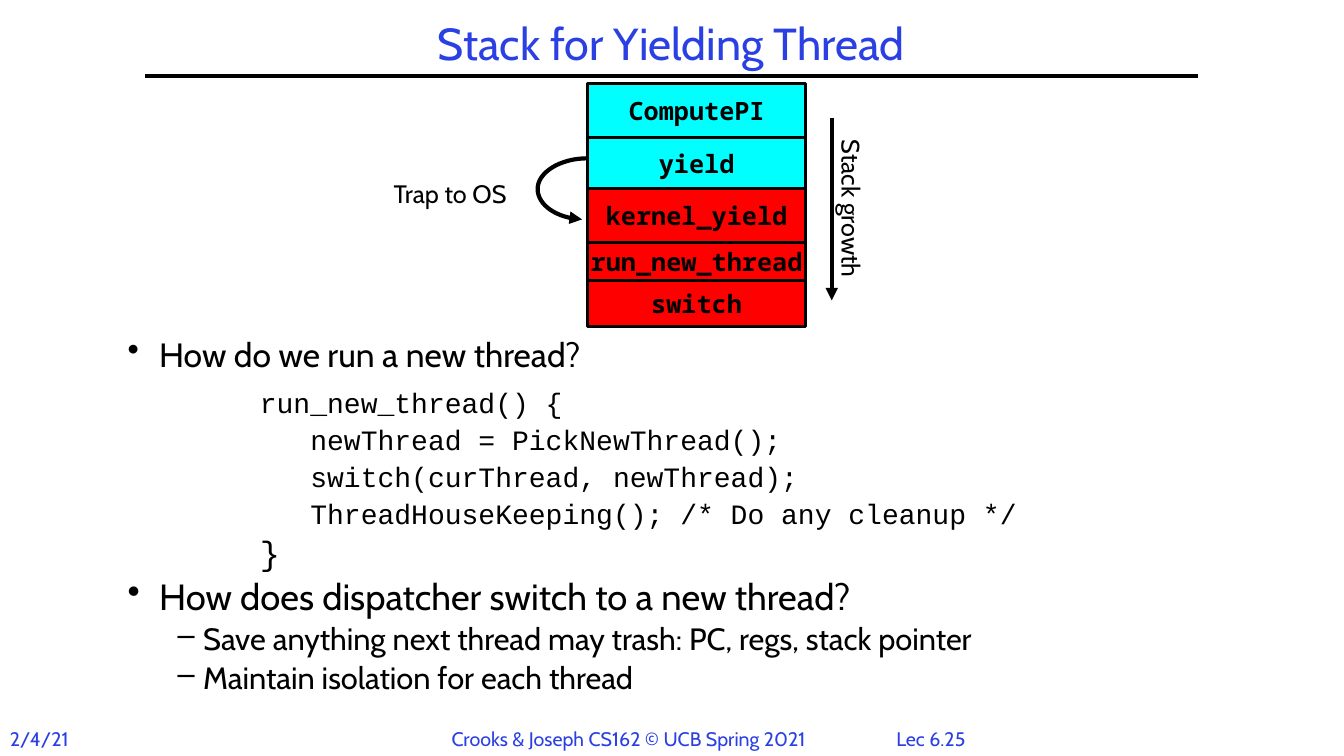
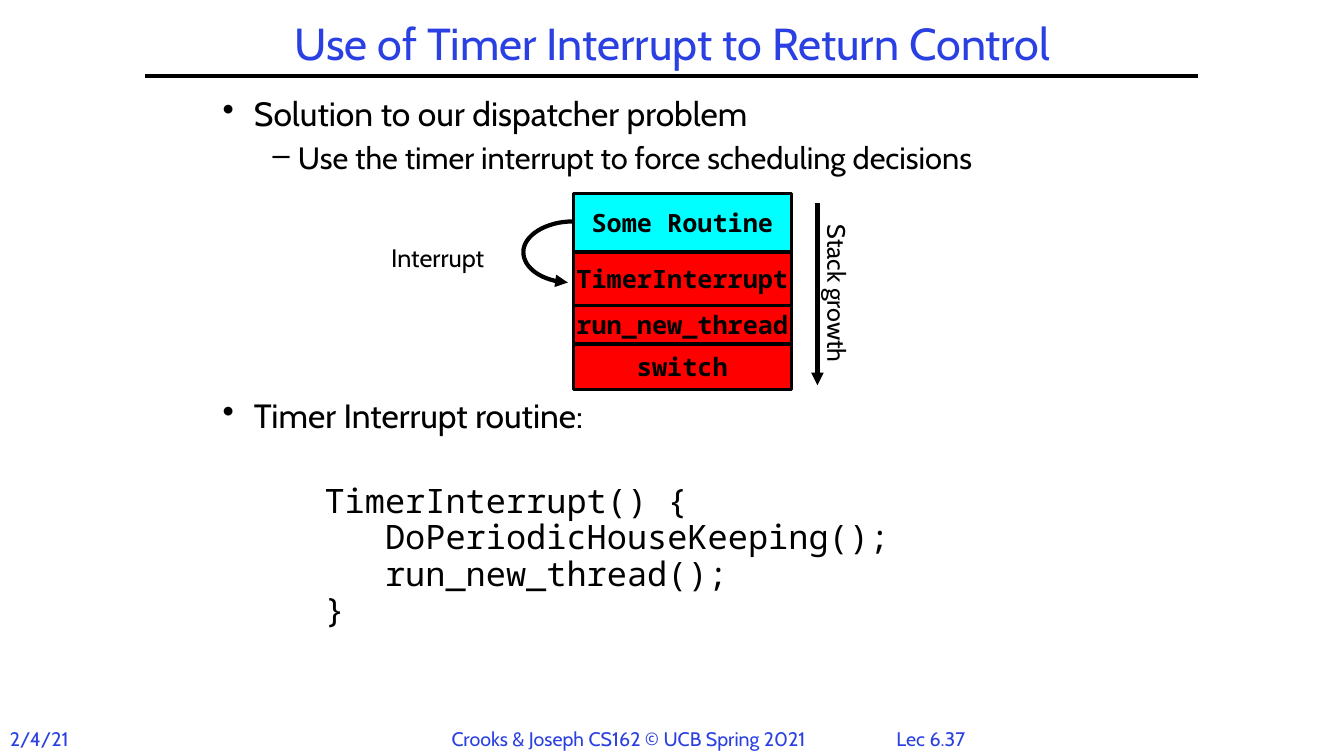
from lxml import etree
from pptx import Presentation
from pptx import util as u
from pptx.dml.color import RGBColor
from pptx.enum import shapes, text
from pptx.oxml import ns

BLUE = RGBColor(0x2A, 0x40, 0xE2)
BLACK = RGBColor(0, 0, 0)
CYAN = RGBColor(0, 0xFF, 0xFF)
RED = RGBColor(0xFF, 0, 0)
SANS, COURIER, MONO = "Cabin", "Courier New", "Noto Sans Mono"
CENTER = text.PP_ALIGN.CENTER
LEFT = text.PP_ALIGN.LEFT

# Body styles: font, left margin and first-line indent in cm, bullet
STYLES = {
    "bullet": (SANS, 0.79, -0.79, "•"),
    "dash": (SANS, 1.9, -0.64, "–"),
    "courier": (COURIER, 3.33, 0, None),
    "mono": (MONO, 2.57, 0, None),
}

# Stack frames: name, height in cm, colour
SHARED_FRAMES = [("run_new_thread", 0.97, RED), ("switch", 1.14, RED)]
FRAME_WIDTH = 5.49

# Trap curve in cm, relative to the left end of the first kernel frame's top
TRAP_CURVES = [
    [(0, -0.77), (-0.7, -0.77), (-1.26, -0.41), (-1.26, 0)],
    [(-1.26, 0), (-1.26, 0.41), (-0.78, 0.74), (-0.14, 0.77)],
]
CURVE_STEPS = 16

# Body boxes: left, top, width, height, line spacing, then rows of
# style, text, size, space before
PAGES = [
    {
        "title": "Stack for Yielding Thread", "title_span": (3.66, 26.52),
        "number": "Lec 6.25",
        "stack": (14.81, 2.11),
        "frames": [("ComputePI", 1.35, CYAN), ("yield", 1.3, CYAN),
                   ("kernel_yield", 1.35, RED)] + SHARED_FRAMES,
        "trap": ("Trap to OS", 9.53, 3.63), "growth_top": 2.97,
        "body": [
            (2.97, 8.48, 24.1, 9.73, 0.8, [
                ("bullet", "How do we run a new thread?", 24, 0),
                ("courier", "run_new_thread() {", 20, 13),
                ("courier", "   newThread = PickNewThread();", 20, 7.2),
                ("courier", "   switch(curThread, newThread);", 20, 7.2),
                ("courier", "   ThreadHouseKeeping(); /* Do any cleanup */", 20, 7.2),
                ("courier", "}", 24, 7.2),
                ("bullet", "How does dispatcher switch to a new thread?", 26, 7.8),
                ("dash", "Save anything next thread may trash: PC, regs, stack pointer", 22, 6.6),
                ("dash", "Maintain isolation for each thread", 22, 6.6),
            ]),
        ],
    },
    {
        "title": "Use of Timer Interrupt to Return Control", "title_span": (6.15, 21.59),
        "number": "Lec 6.37",
        "stack": (14.45, 4.88),
        "frames": [("Some Routine", 1.47, CYAN),
                   ("TimerInterrupt", 1.35, RED)] + SHARED_FRAMES,
        "trap": ("Interrupt", 9.58, 2.9), "growth_top": 5.11,
        "body": [
            (5.36, 2.34, 22.86, 2.3, 0.9, [
                ("bullet", "Solution to our dispatcher problem", 24, 0),
                ("dash", "Use the timer interrupt to force scheduling decisions", 22, 6.6),
            ]),
            (5.36, 9.93, 22.86, 1.3, 0.9, [
                ("bullet", "Timer Interrupt routine:", 24, 0),
            ]),
            (5.36, 12.07, 22.86, 4, u.Pt(26), [
                ("mono", "TimerInterrupt() {", 24, 0),
                ("mono", "   DoPeriodicHouseKeeping();", 24, 0),
                ("mono", "   run_new_thread();", 24, 0),
                ("mono", "}", 24, 0),
            ]),
        ],
    },
]


def add_label(page, words, left, top, width, size, color, align):
    box = page.shapes.add_textbox(u.Cm(left), u.Cm(top), u.Cm(width), u.Cm(0.9))
    box.text_frame.word_wrap = True
    para = box.text_frame.paragraphs[0]
    para.text, para.alignment = words, align
    para.font.name, para.font.size = SANS, u.Pt(size)
    para.font.color.rgb = color
    return box


def style_line(shape, arrow):
    """Thick black line without shadow, with an arrowhead if wanted."""
    shape.line.color.rgb = BLACK
    shape.line.width = u.Pt(3)
    if arrow:
        head = etree.SubElement(shape.line._get_or_add_ln(), ns.qn("a:tailEnd"))
        head.set("type", "triangle")
    etree.SubElement(shape._element.spPr, ns.qn("a:effectLst"))


deck = Presentation()
deck.slide_width, deck.slide_height = u.Cm(33.87), u.Cm(19.05)

for content in PAGES:
    page = deck.slides.add_slide(deck.slide_layouts[5])

    # Title and rule
    title = page.shapes.title
    title_left, title_width = content["title_span"]
    title.left, title.top = u.Cm(title_left), u.Cm(0.43)
    title.width, title.height = u.Cm(title_width), u.Cm(1.47)
    title.text_frame.auto_size = text.MSO_AUTO_SIZE.NONE
    title.text_frame.vertical_anchor = text.MSO_ANCHOR.MIDDLE
    para = title.text_frame.paragraphs[0]
    para.text, para.alignment, para.line_spacing = content["title"], CENTER, 0.9
    para.font.name, para.font.size = SANS, u.Pt(32)
    para.font.color.rgb = BLUE
    rule = page.shapes.add_connector(
        shapes.MSO_CONNECTOR.STRAIGHT, u.Cm(3.66), u.Cm(1.91), u.Cm(30.2), u.Cm(1.91))
    style_line(rule, arrow=False)

    # Footer
    for words, left, width, align in [
        ("2/4/21", 0, 2.2, LEFT),
        ("Crooks & Joseph CS162 © UCB Spring 2021", 11.13, 9.8, LEFT),
        (content["number"], 22.23, 2.46, CENTER),
    ]:
        add_label(page, words, left, 18.19, width, 14, BLUE, align)

    # Body text
    for left, top, width, height, spacing, rows in content["body"]:
        box = page.shapes.add_textbox(u.Cm(left), u.Cm(top), u.Cm(width), u.Cm(height))
        frame = box.text_frame
        frame.word_wrap = True
        for index, (style, words, size, before) in enumerate(rows):
            font_name, margin, indent, bullet = STYLES[style]
            para = frame.add_paragraph() if index else frame.paragraphs[0]
            para.text = words
            properties = para._p.get_or_add_pPr()
            properties.set("marL", str(u.Cm(margin)))
            properties.set("indent", str(u.Cm(indent)))
            if bullet:
                etree.SubElement(properties, ns.qn("a:buChar")).set("char", bullet)
            para.line_spacing = spacing
            para.space_before = u.Pt(before)
            para.font.name, para.font.size = font_name, u.Pt(size)
            para.font.color.rgb = BLACK

    # Stack frames
    stack_left, frame_top = content["stack"]
    kernel_top = None
    for name, height, color in content["frames"]:
        if color == RED and kernel_top is None:
            kernel_top = frame_top
        block = page.shapes.add_shape(
            shapes.MSO_SHAPE.RECTANGLE, u.Cm(stack_left), u.Cm(frame_top),
            u.Cm(FRAME_WIDTH), u.Cm(height))
        block.shadow.inherit = False
        block.fill.solid()
        block.fill.fore_color.rgb = color
        block.line.color.rgb = BLACK
        block.line.width = u.Pt(2.25)
        block.text_frame.word_wrap = False
        block.text_frame.vertical_anchor = text.MSO_ANCHOR.MIDDLE
        para = block.text_frame.paragraphs[0]
        para.text, para.alignment = name, CENTER
        para.font.name, para.font.size, para.font.bold = MONO, u.Pt(18), True
        para.font.color.rgb = BLACK
        frame_top += height

    # Trap into the kernel
    points = []
    for curve in TRAP_CURVES:
        for step in range(CURVE_STEPS + 1):
            t = step / CURVE_STEPS
            weights = ((1 - t) ** 3, 3 * t * (1 - t) ** 2, 3 * t ** 2 * (1 - t), t ** 3)
            x = sum(w * point[0] for w, point in zip(weights, curve))
            y = sum(w * point[1] for w, point in zip(weights, curve))
            points.append((u.Cm(stack_left + x), u.Cm(kernel_top + y)))
    builder = page.shapes.build_freeform(*points[0])
    builder.add_line_segments(points[1:], close=False)
    trap = builder.convert_to_shape()
    trap.fill.background()
    style_line(trap, arrow=True)
    words, left, width = content["trap"]
    add_label(page, words, left, kernel_top - 0.38, width, 18, BLACK, CENTER)

    # Stack growth
    growth_x, growth_top = stack_left + 6.15, content["growth_top"]
    growth = page.shapes.add_connector(
        shapes.MSO_CONNECTOR.STRAIGHT, u.Cm(growth_x), u.Cm(growth_top),
        u.Cm(growth_x), u.Cm(growth_top + 4.6))
    style_line(growth, arrow=True)
    label = add_label(page, "Stack growth", growth_x - 1.61, growth_top + 1.78,
                      4.22, 18, BLACK, CENTER)
    label.height = u.Cm(1.02)
    label.rotation = 90

deck.save("out.pptx")
